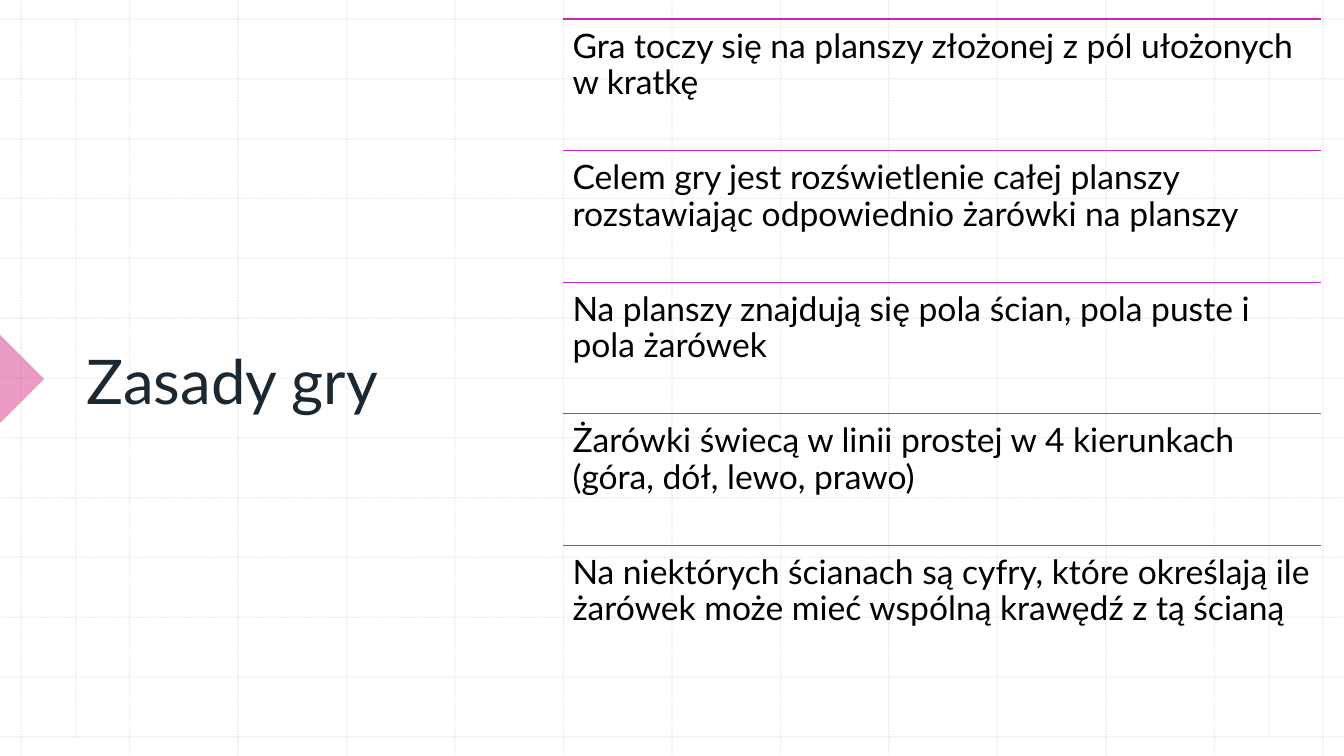
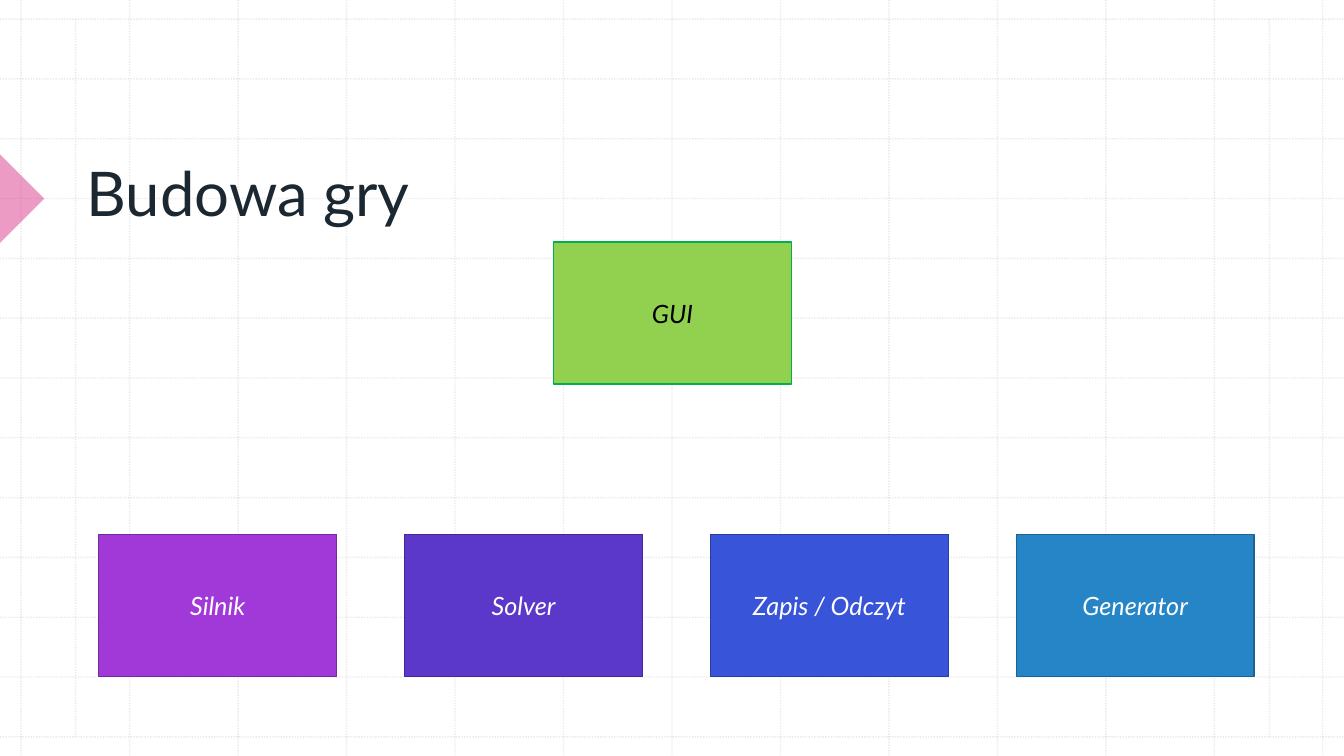
from lxml import etree
from pptx import Presentation
from pptx.dml.color import RGBColor
from pptx.enum.dml import MSO_LINE
from pptx.enum.shapes import MSO_CONNECTOR, MSO_SHAPE
from pptx.enum.text import MSO_ANCHOR, PP_ALIGN
from pptx.oxml.ns import qn
from pptx.util import Inches, Pt

WIDTH, HEIGHT = 13.33, 7.5
FONT = "Lato"
INK, BLACK, WHITE = "1C2831", "000000", "FFFFFF"
GRID, ACCENT = "BCBCBC", "D8388A"


def rgb(value):
    """Turn a hex string into a colour."""
    return RGBColor.from_string(value)


def spread(first, last, count):
    """Return evenly spaced positions from first to last."""
    step = (last - first) / (count - 1)
    return [first + step * i for i in range(count)]


class Deck:
    """Holds the shared style and the current slide."""

    def __init__(self):
        """Open an empty widescreen presentation."""
        self.prs = Presentation()
        self.prs.slide_width = Inches(WIDTH)
        self.prs.slide_height = Inches(HEIGHT)
        self.slide = None

    def set_opacity(self, shape, percent):
        """Make the colours of a shape partly transparent."""
        for color in shape._element.spPr.iter(qn("a:srgbClr")):
            etree.SubElement(color, qn("a:alpha")).set("val", str(percent * 1000))

    def line(self, x1, y1, x2, y2, color):
        """Draw a straight one-point line."""
        line = self.slide.shapes.add_connector(
            MSO_CONNECTOR.STRAIGHT, Inches(x1), Inches(y1), Inches(x2), Inches(y2))
        line.line.color.rgb = rgb(color)
        line.line.width = Pt(1)
        etree.SubElement(line._element.spPr, qn("a:effectLst"))
        return line

    def grid_line(self, x1, y1, x2, y2):
        """Draw one faint dotted line of the background grid."""
        line = self.line(x1, y1, x2, y2, GRID)
        line.line.dash_style = MSO_LINE.ROUND_DOT
        self.set_opacity(line, 30)

    def grid(self):
        """Draw the background grid with its two inner margins."""
        for x in spread(0.21, 13.12, 13):
            self.grid_line(x, 0, x, HEIGHT)
        for y in spread(0.19, 7.31, 13):
            self.grid_line(0, y, WIDTH, y)
        for x in (0.75, 12.59):
            self.grid_line(x, 0.19, x, 7.31)

    def marker(self, middle):
        """Draw the pink pointer at the left edge."""
        side = 0.62
        pointer = self.shape(MSO_SHAPE.RIGHT_TRIANGLE, -side / 2, middle - side / 2,
                             side, side, ACCENT)
        pointer.rotation = 225
        self.set_opacity(pointer, 50)

    def shape(self, kind, x, y, w, h, fill, outline=None):
        """Draw a flat preset shape."""
        shape = self.slide.shapes.add_shape(
            kind, Inches(x), Inches(y), Inches(w), Inches(h))
        shape.shadow.inherit = False
        shape.fill.solid()
        shape.fill.fore_color.rgb = rgb(fill)
        if outline:
            shape.line.color.rgb = rgb(outline)
            shape.line.width = Pt(1)
        else:
            shape.line.fill.background()
        return shape

    def put_text(self, shape, text, size, color, anchor, italic=False):
        """Put one styled paragraph into a shape and return it."""
        frame = shape.text_frame
        frame.word_wrap = True
        frame.vertical_anchor = anchor
        paragraph = frame.paragraphs[0]
        run = paragraph.add_run()
        run.text = text
        run.font.name = FONT
        run.font.size = Pt(size)
        run.font.italic = italic
        run.font.color.rgb = rgb(color)
        return paragraph

    def text(self, text, x, y, w, h, size, color, anchor):
        """Add a text box and return it with its paragraph."""
        box = self.slide.shapes.add_textbox(Inches(x), Inches(y), Inches(w), Inches(h))
        return box, self.put_text(box, text, size, color, anchor)

    def new_slide(self, title, marker_middle, title_box, anchor):
        """Start a slide with background, grid, pointer and title."""
        self.slide = self.prs.slides.add_slide(self.prs.slide_layouts[6])
        self.slide.background.fill.solid()
        self.slide.background.fill.fore_color.rgb = rgb(WHITE)
        self.grid()
        self.marker(marker_middle)
        self.text(title, *title_box, 44, INK, anchor)

    def rule_item(self, y, text, color):
        """Add one game rule below its coloured line."""
        left, width = 5.58, 7.52
        self.line(left, y, left + width, y, color)
        box, paragraph = self.text(text, left, y, width, 1.31, 24, BLACK, MSO_ANCHOR.TOP)
        box.text_frame.margin_top = box.text_frame.margin_bottom = Inches(0.1)
        paragraph.line_spacing = 0.9

    def module(self, x, y, name, fill, outline, color=WHITE):
        """Add one labelled module box."""
        box = self.shape(MSO_SHAPE.RECTANGLE, x, y, 2.36, 1.41, fill, outline)
        paragraph = self.put_text(box, name, 18, color, MSO_ANCHOR.MIDDLE, italic=True)
        paragraph.alignment = PP_ALIGN.CENTER


RULES = [
    ("Gra toczy się na planszy złożonej z pól ułożonych w kratkę", "C626BA"),
    ("Celem gry jest rozświetlenie całej planszy rozstawiając odpowiednio "
     "żarówki na planszy", "C828CD"),
    ("Na planszy znajdują się pola ścian, pola puste i pola żarówek", "BE29D5"),
    ("Żarówki świecą w linii prostej w 4 kierunkach (góra, dół, lewo, prawo)", "AF30D7"),
    ("Na niektórych ścianach są cyfry, które określają ile żarówek może mieć "
     "wspólną krawędź z tą ścianą", "A138D8"),
]
MODULES = [
    ("Silnik", "A138D8", "7729A0"),
    ("Solver", "5B37CA", "432995"),
    ("Zapis / Odczyt", "3854D8", "293EA0"),
    ("Generator", "2685C6", "1C6292"),
]

deck = Deck()

deck.new_slide("Zasady gry", 3.76, (0.76, 0.79, 3.75, 5.95), MSO_ANCHOR.MIDDLE)
for y, (rule, color) in zip(spread(0.19, 5.41, len(RULES)), RULES):
    deck.rule_item(y, rule, color)

deck.new_slide("Budowa gry", 1.97, (0.76, 0.79, 11.48, 1.53), MSO_ANCHOR.BOTTOM)
deck.module(5.49, 2.4, "GUI", "92D050", "00B050", BLACK)
for x, (name, fill, outline) in zip(spread(0.98, 10.08, len(MODULES)), MODULES):
    deck.module(x, 5.3, name, fill, outline)

deck.prs.save("out.pptx")
